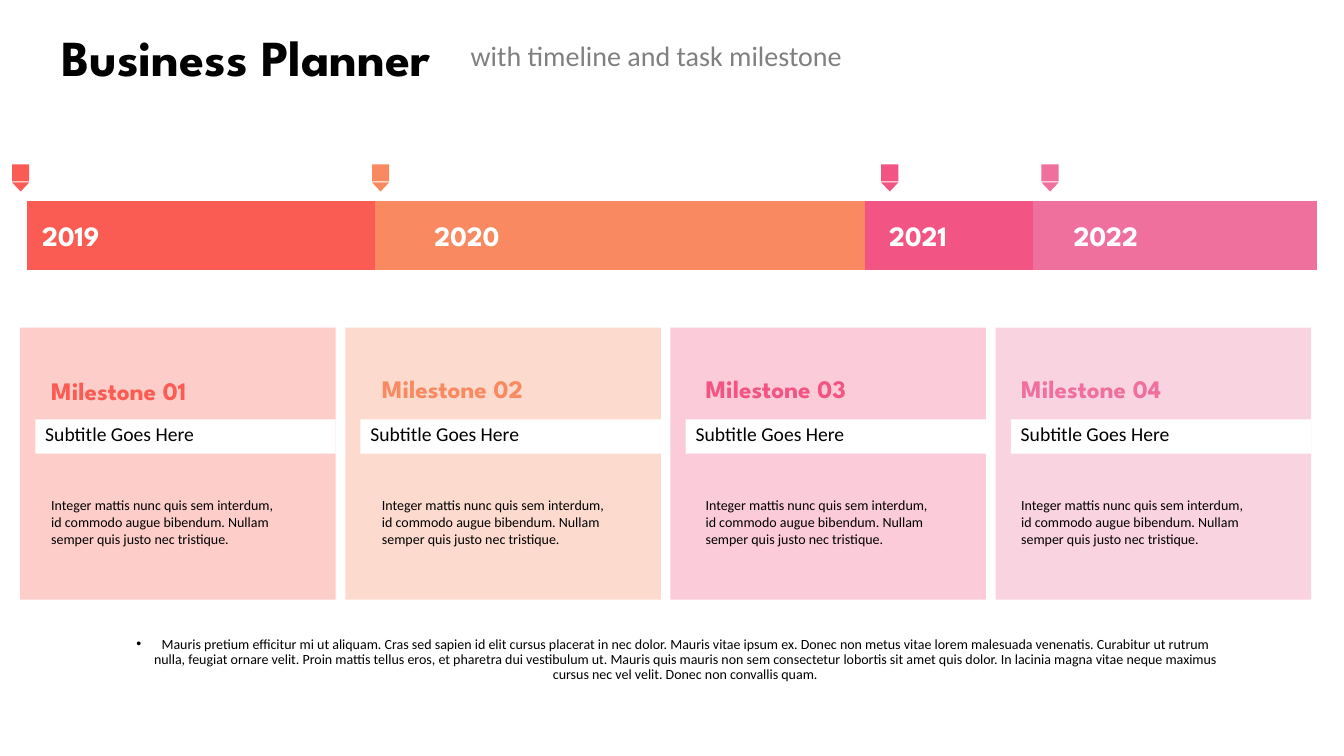
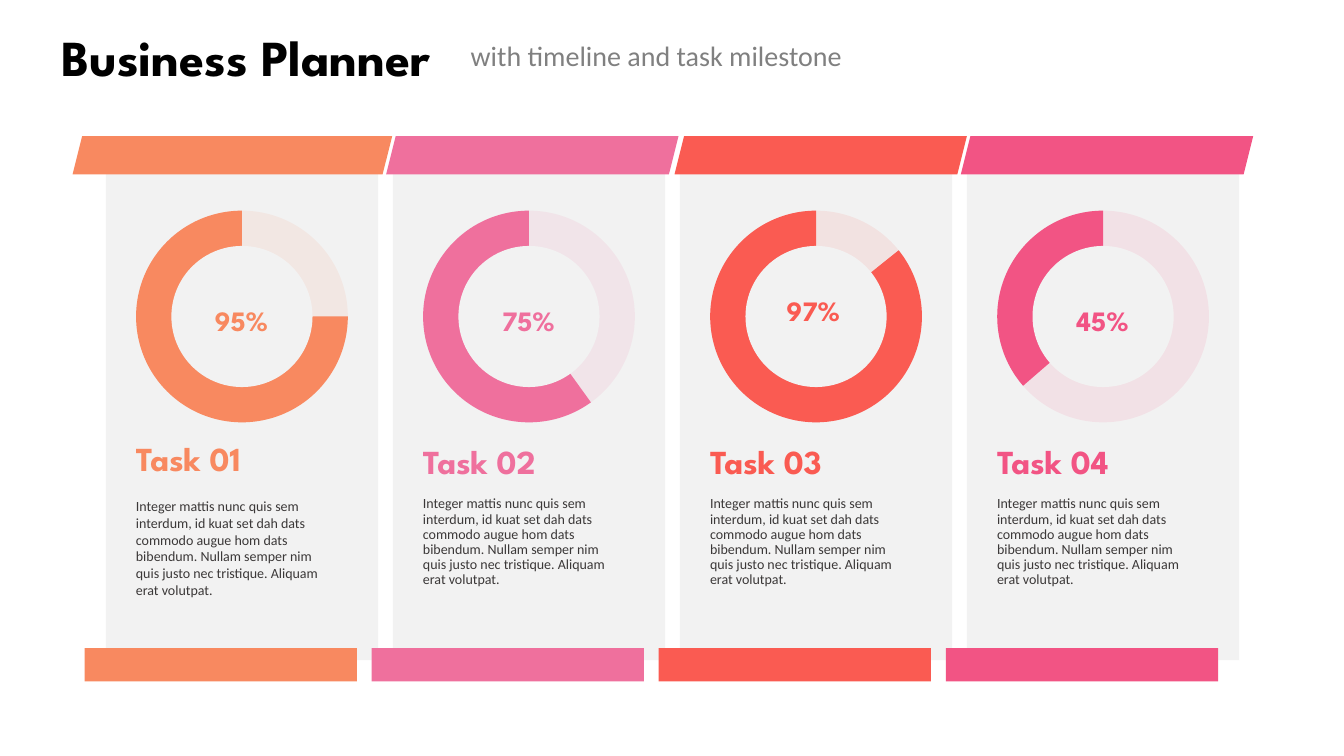
from lxml.etree import SubElement
from pptx import Presentation
from pptx.chart.data import CategoryChartData as ChartData
from pptx.dml.color import RGBColor
from pptx.enum.chart import XL_CHART_TYPE as CHART
from pptx.enum.shapes import MSO_SHAPE as SHAPE
from pptx.enum.text import MSO_ANCHOR as ANCHOR, MSO_AUTO_SIZE as SIZE, PP_ALIGN as ALIGN
from pptx.oxml.ns import qn
from pptx.util import Inches, Pt

rgb = RGBColor.from_string
RED, ORANGE, ROSE, PINK = "FA5B52", "F88960", "F25484", "EF709D"
BLACK, WHITE, GREY, PANEL, DARK = "000000", "FFFFFF", "808080", "F2F2F2", "3B3838"
HEAD, BODY = "League Spartan", "Calibri"


def put(shapes, kind, x, y, w, h, color, alpha=None):
    """Add a flat shape without outline; alpha is a percentage."""
    shape = shapes.add_shape(kind, Inches(x), Inches(y), Inches(w), Inches(h))
    shape.shadow.inherit = False
    shape.fill.solid()
    shape.fill.fore_color.rgb = rgb(color)
    shape.line.fill.background()
    if alpha:
        tint = shape._element.spPr.find(".//" + qn("a:srgbClr"))
        SubElement(tint, qn("a:alpha")).set("val", str(alpha * 1000))
    return shape


def say(shape, text, size, color, font=BODY, align=ALIGN.LEFT,
        anchor=ANCHOR.TOP, lead=None):
    """Write one paragraph into a shape; headings are bold."""
    frame = shape.text_frame
    frame.word_wrap = True
    frame.auto_size = SIZE.NONE
    frame.vertical_anchor = anchor
    para = frame.paragraphs[0]
    para.text = text
    para.alignment = align
    para.space_before = Pt(0)
    para.line_spacing = lead
    para.font.name = font
    para.font.size = Pt(size)
    para.font.bold = font == HEAD
    para.font.color.rgb = rgb(color)
    return para


deck = Presentation()
deck.slide_width, deck.slide_height = Inches(13.33), Inches(7.5)

# Both slides: title and tagline
slides = []
for layout in (1, 5):
    slide = deck.slides.add_slide(deck.slide_layouts[layout])
    title = slide.shapes.title
    title.left, title.top = Inches(0.32), Inches(0.26)
    title.width, title.height = Inches(4.24), Inches(0.6)
    say(title, "Business Planner", 36, BLACK, HEAD, ALIGN.CENTER, ANCHOR.MIDDLE)
    tag = slide.shapes.add_textbox(Inches(4.57), Inches(0.33), Inches(4.7), Inches(0.44))
    say(tag, "with timeline and task milestone", 20, GREY, anchor=ANCHOR.MIDDLE)
    slides.append(slide)
plan, tasks = slides

# Slide 1: timeline bar
shapes = plan.shapes
# color, share, year x, pin x, text x
years = [
    (RED, 27, 0.32, 0.12, 0.41),
    (ORANGE, 38, 4.21, 3.69, 3.69),
    (ROSE, 13, 8.72, 8.74, 6.9),
    (PINK, 22, 10.55, 10.33, 10.03),
]
data = ChartData()
data.categories = ["1"]
for i, year in enumerate(years, 1):
    data.add_series(f"Series {i}", [year[1]])
chart = shapes.add_chart(CHART.BAR_STACKED_100, 0, Inches(0.86),
                         Inches(13.33), Inches(2.96), data).chart
chart.has_legend = chart.has_title = False
chart.font.name, chart.font.size = BODY, Pt(10)
chart.font.color.rgb = rgb(BLACK)
for axis in (chart.category_axis, chart.value_axis):
    axis.visible = axis.has_major_gridlines = False
plot = chart.plots[0]
plot.gap_width, plot.overlap, plot.vary_by_categories = 315, 100, False

# Slide 1: years, pins and milestone cards
note = ("Integer mattis nunc quis sem interdum, id commodo augue bibendum. "
        "Nullam semper quis justo nec tristique.")
for i, (color, share, year_x, pin_x, text_x) in enumerate(years):
    fill = plot.series[i].format.fill
    fill.solid()
    fill.fore_color.rgb = rgb(color)
    box = shapes.add_textbox(Inches(year_x), Inches(2.12), Inches(0.96), Inches(0.44))
    say(box, str(2019 + i), 20, WHITE, HEAD)

    pin = shapes.add_group_shape().shapes
    put(pin, SHAPE.RECTANGLE, pin_x, 1.63, 0.17, 0.17, color)
    put(pin, SHAPE.ISOSCELES_TRIANGLE, pin_x, 1.81, 0.17, 0.09, color).rotation = 180

    x = 0.2 + 3.225 * i
    put(shapes, SHAPE.RECTANGLE, x, 3.25, 3.13, 2.7, color, 30)
    band = put(shapes, SHAPE.RECTANGLE, x + 0.15, 4.16, 2.98, 0.34, WHITE)
    say(band, "Subtitle Goes Here", 14, BLACK, lead=0.9)
    box = shapes.add_textbox(Inches(text_x), Inches(3.65), Inches(2.4), Inches(0.44))
    say(box, f"Milestone {i + 1:02}", 18, color, HEAD, anchor=ANCHOR.MIDDLE,
        lead=0.9 if i else None)
    box = shapes.add_textbox(Inches(text_x), Inches(4.79), Inches(2.5), Inches(0.77))
    say(box, note, 10, BLACK, anchor=ANCHOR.MIDDLE)

# Slide 1: closing bullet
body = plan.placeholders[1]
body.left, body.top = Inches(1.12), Inches(6.27)
body.width, body.height = Inches(11.1), Inches(0.61)
para = say(body, "Mauris pretium efficitur mi ut aliquam. Cras sed sapien id elit cursus "
           "placerat in nec dolor. Mauris vitae ipsum ex. Donec non metus vitae lorem "
           "malesuada venenatis. Curabitur ut rutrum nulla, feugiat ornare velit. Proin "
           "mattis tellus eros, et pharetra dui vestibulum ut. Mauris quis mauris non sem "
           "consectetur lobortis sit amet quis dolor. In lacinia magna vitae neque maximus "
           "cursus nec vel velit. Donec non convallis quam.",
           10, BLACK, align=ALIGN.CENTER, lead=0.9)
props = para._p.get_or_add_pPr()
props.set("marL", str(Inches(0.25)))
props.set("indent", str(-Inches(0.25)))

# Slide 2: task columns
shapes = tasks.shapes
note = ("Integer mattis nunc quis sem interdum, id kuat set dah dats commodo augue hom dats "
        "bibendum. Nullam semper nim quis justo nec tristique. Aliquam erat volutpat.")
# color, percent, ring start in degrees, ribbon x and width
jobs = [
    (ORANGE, 95, 0, 0.72, 3.17),
    (PINK, 75, 54.2, 3.83, 2.9),
    (RED, 97, 321.3, 6.69, 2.9),
    (ROSE, 45, 139.1, 9.53, 2.9),
]
for i, (color, done, start, rib_x, rib_w) in enumerate(jobs):
    x = 1.05 + 2.847 * i
    put(shapes, SHAPE.RECTANGLE, x, 1.57, 2.7, 4.98, PANEL)
    put(shapes, SHAPE.RECTANGLE, x - 0.21, 6.43, 2.7, 0.33, color)
    put(shapes, SHAPE.PARALLELOGRAM, rib_x, 1.35, rib_w, 0.38, color)

    # Ring: pale disc, pie up to twelve o'clock, hole
    put(shapes, SHAPE.OVAL, x + 0.3, 2.09, 2.1, 2.1, color, 10)
    pie = put(shapes, SHAPE.PIE, x + 0.3, 2.09, 2.1, 2.1, color)
    for k, angle in enumerate((start, 270)):
        pie.adjustments[k] = angle * 0.6
    put(shapes, SHAPE.OVAL, x + 0.65, 2.44, 1.4, 1.4, PANEL)
    box = shapes.add_textbox(Inches(x + 0.96), Inches(2.9), Inches(0.77), Inches(0.47))
    if color == RED:
        align, lead = ALIGN.LEFT, 0.9
    else:
        align, lead = ALIGN.CENTER, 1.2
    say(box, f"{done}%", 20, color, HEAD, align, lead=lead)

    # Heading and text
    anchor, lead = (ANCHOR.TOP, 0.9) if i else (ANCHOR.MIDDLE, None)
    box = shapes.add_textbox(Inches(x + 0.2), Inches(4.37), Inches(2.2), Inches(0.34))
    say(box, f"Task {i + 1:02}", 24, color, HEAD, anchor=anchor, lead=lead)
    box = shapes.add_textbox(Inches(x + 0.2), Inches(4.88), Inches(2.2), Inches(1.11))
    say(box, note, 10, DARK, anchor=anchor, lead=lead)

deck.save("out.pptx")
